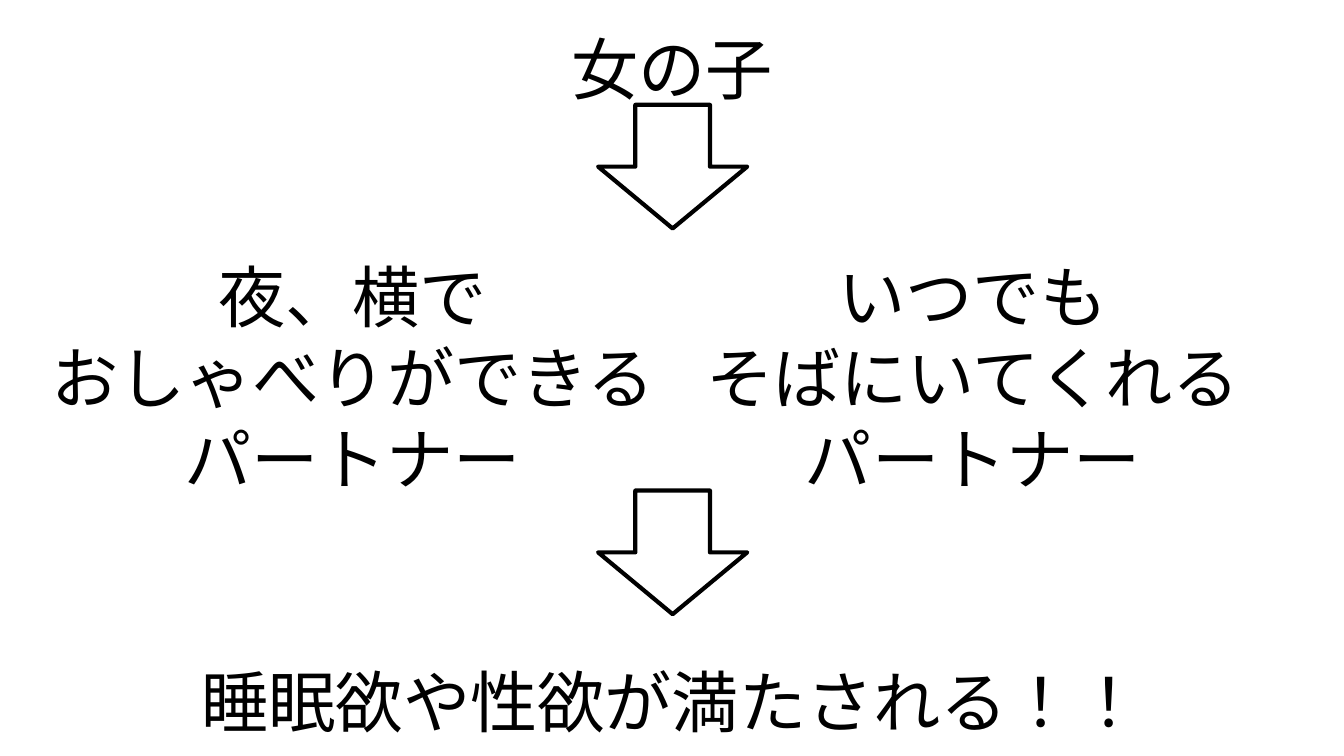
import dataclasses

import pptx
import pptx.dml.color
import pptx.enum.lang
import pptx.enum.shapes
import pptx.enum.text
import pptx.oxml
import pptx.oxml.ns
import pptx.util

Inches = pptx.util.Inches
Pt = pptx.util.Pt
RGB = pptx.dml.color.RGBColor
Anchor = pptx.enum.text.MSO_ANCHOR


@dataclasses.dataclass(frozen=True)
class Theme:
    font: str = "Arial"
    size: float = 36
    pitch: float = 43.3
    stroke: float = 2.25
    ink: RGB = RGB(0, 0, 0)
    paper: RGB = RGB(255, 255, 255)


THEME = Theme()


def add_text(slide, text, *, left, top, width, height, anchor=Anchor.TOP):
    """Add a centred text box, one paragraph per line of text."""
    box = slide.shapes.add_textbox(
        Inches(left), Inches(top), Inches(width), Inches(height))
    frame = box.text_frame
    frame.word_wrap = True
    frame.vertical_anchor = anchor
    frame.margin_left = frame.margin_right = Inches(0.1)
    frame.margin_top = frame.margin_bottom = Inches(0.1)
    frame.text = text
    for para in frame.paragraphs:
        para.alignment = pptx.enum.text.PP_ALIGN.CENTER
        para.line_spacing = Pt(THEME.pitch)
        for run in para.runs:
            font = run.font
            font.name = THEME.font
            font.size = Pt(THEME.size)
            font.color.rgb = THEME.ink
            font.language_id = pptx.enum.lang.MSO_LANGUAGE_ID.JAPANESE
            # Name the font for Japanese letters too
            east = pptx.oxml.parse_xml(
                f'<a:ea {pptx.oxml.ns.nsdecls("a")} typeface="{THEME.font}"/>')
            run._r.rPr.append(east)


def add_arrow(slide, top):
    """Add an outlined down arrow on the centre line."""
    arrow = slide.shapes.add_shape(
        pptx.enum.shapes.MSO_SHAPE.DOWN_ARROW,
        Inches(4.45), Inches(top), Inches(1.11), Inches(0.92))
    arrow.shadow.inherit = False
    arrow.fill.solid()
    arrow.fill.fore_color.rgb = THEME.paper
    arrow.line.color.rgb = THEME.ink
    arrow.line.width = Pt(THEME.stroke)


def main():
    # Wide 16:9 page
    deck = pptx.Presentation()
    deck.slide_width = Inches(10)
    deck.slide_height = Inches(10) * 9 // 16
    slide = deck.slides.add_slide(deck.slide_layouts[6])

    # Title and conclusion
    add_text(slide, "女の子", left=0.34, top=0.04, width=9.32, height=0.92,
             anchor=Anchor.MIDDLE)
    add_text(slide, "睡眠欲や性欲が満たされる！！",
             left=0, top=4.81, width=10, height=0.52)

    # Two partner columns
    add_text(slide, "夜、横で\nおしゃべりができる\nパートナー",
             left=0.24, top=1.8, width=4.77, height=1.89)
    add_text(slide, "いつでも\nそばにいてくれる\nパートナー",
             left=5.01, top=1.8, width=4.46, height=1.84)

    # Arrows between the steps
    for top in (0.78, 3.65):
        add_arrow(slide, top)

    deck.save("out.pptx")


if __name__ == "__main__":
    main()
